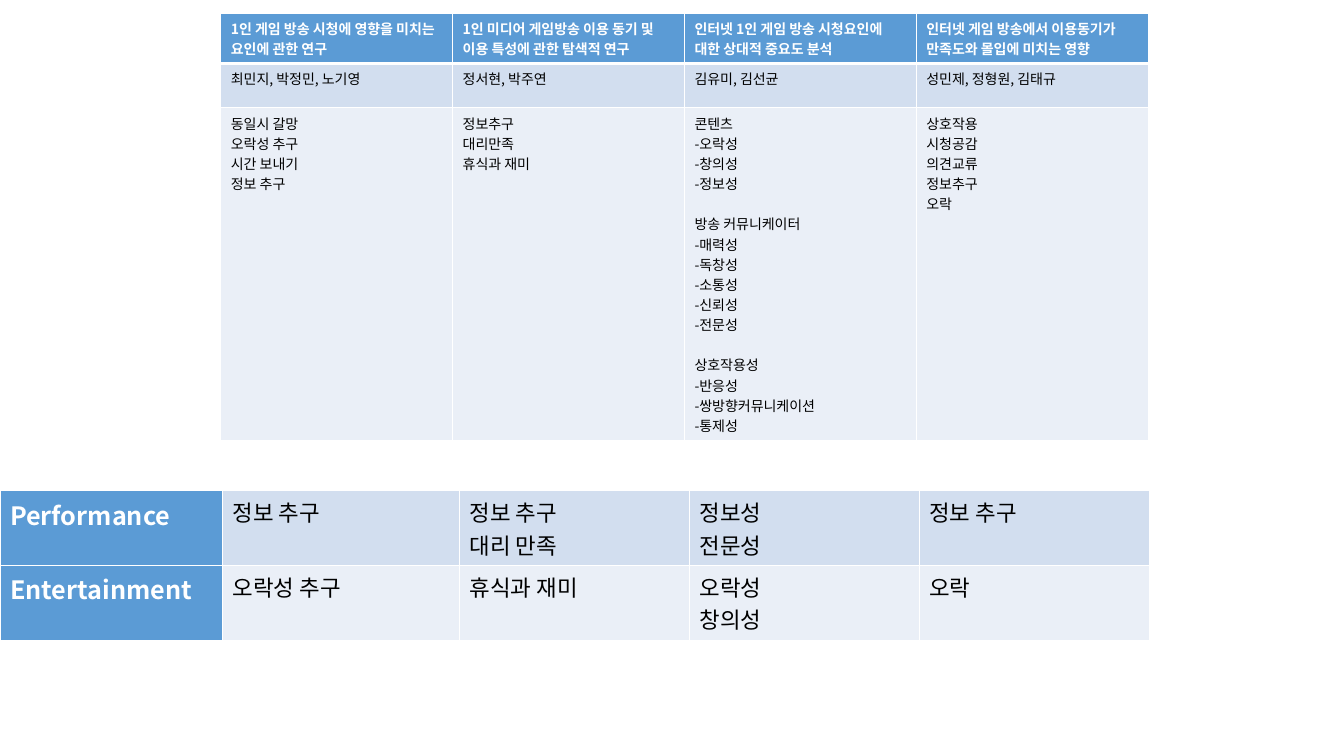
from dataclasses import dataclass

from lxml.etree import SubElement
from pptx import Presentation
from pptx.dml.color import RGBColor
from pptx.oxml.ns import qn
from pptx.slide import Slide
from pptx.util import Inches, Pt

WHITE = RGBColor(0xFF, 0xFF, 0xFF)
BLACK = RGBColor(0x00, 0x00, 0x00)
BLUE = RGBColor(0x5B, 0x9B, 0xD5)
LIGHT_BLUE = RGBColor(0xD2, 0xDE, 0xEF)
PALE_BLUE = RGBColor(0xEA, 0xEF, 0xF7)

WIDTH, HEIGHT = Inches(13.33), Inches(7.5)

STUDIES = [
    ["1인 게임 방송 시청에 영향을 미치는 요인에 관한 연구",
     "1인 미디어 게임방송 이용 동기 및 이용 특성에 관한 탐색적 연구",
     "인터넷 1인 게임 방송 시청요인에 대한 상대적 중요도 분석",
     "인터넷 게임 방송에서 이용동기가 만족도와 몰입에 미치는 영향"],
    ["최민지, 박정민, 노기영", "정서현, 박주연", "김유미, 김선균", "성민제, 정형원, 김태규"],
    ["동일시 갈망\n오락성 추구\n시간 보내기\n정보 추구",
     "정보추구\n대리만족\n휴식과 재미",
     "콘텐츠\n-오락성\n-창의성\n-정보성\n"
     "방송 커뮤니케이터\n-매력성\n-독창성\n-소통성\n-신뢰성\n-전문성\n"
     "상호작용성\n-반응성\n-쌍방향커뮤니케이션\n-통제성",
     "상호작용\n시청공감\n의견교류\n정보추구\n오락"],
]
GROUP_HEADINGS = {"방송 커뮤니케이터", "상호작용성"}
FACTORS = [
    ["Performance", "정보 추구", "정보 추구\n대리 만족", "정보성\n전문성", "정보 추구"],
    ["Entertainment", "오락성 추구", "휴식과 재미", "오락성\n창의성", "오락"],
]


@dataclass
class SlideBuilder:
    """Draws tables on a grid of 100 columns by 100 rows in one style."""
    slide: Slide
    font: str = "Noto Sans CJK KR"
    border: RGBColor = WHITE

    def column(self, count):
        return round(WIDTH * count / 100)

    def row(self, count):
        return round(HEIGHT * count / 100)

    def table(self, contents, left, top, widths, heights, flags):
        table = self.slide.shapes.add_table(
            len(heights), len(widths), self.column(left), self.row(top),
            self.column(sum(widths)), self.row(sum(heights))).table
        for flag, value in flags.items():
            setattr(table, flag, value)
        for table_column, width in zip(table.columns, widths):
            table_column.width = self.column(width)
        for table_row, height in zip(table.rows, heights):
            table_row.height = self.row(height)
        for r, entries in enumerate(contents):
            for c, entry in enumerate(entries):
                yield r, c, table.cell(r, c), entry

    def cell(self, cell, entry, fill, size, color, bold, bottom=1):
        self.borders(cell, {"L": 1, "R": 1, "T": 1, "B": bottom})
        cell.fill.solid()
        cell.fill.fore_color.rgb = fill
        cell.text = entry
        for paragraph in cell.text_frame.paragraphs:
            if paragraph.text in GROUP_HEADINGS:
                paragraph.space_before = Pt(14.4)
            for run in paragraph.runs:
                self.format(run, {"name": self.font, "size": Pt(size), "bold": bold}, color)

    def format(self, run, values, color):
        for attribute, value in values.items():
            setattr(run.font, attribute, value)
        run.font.color.rgb = color
        SubElement(run.font._element, qn("a:ea")).set("typeface", self.font)

    def borders(self, cell, widths):
        properties = cell._tc.get_or_add_tcPr()
        for side, width in widths.items():
            line = SubElement(properties, qn(f"a:ln{side}"), w=str(Pt(width)))
            SubElement(SubElement(line, qn("a:solidFill")), qn("a:srgbClr"), val=str(self.border))

    def studies(self):
        fills = [BLUE, LIGHT_BLUE, PALE_BLUE]
        for r, _, cell, entry in self.table(STUDIES, 16.43, 1.73, [17.25] * 4, [6.27, 5.87, 39.6],
                                            {"first_row": True}):
            heading = r == 0
            self.cell(cell, entry, fills[r], 10, WHITE if heading else BLACK, heading,
                      3 if heading else 1)

    def factors(self):
        fills = [LIGHT_BLUE, PALE_BLUE]
        for r, c, cell, entry in self.table(FACTORS, 0, 64.93, [16.58, 17.63] + [17.1] * 3, [5.47] * 2,
                                            {"first_row": False, "first_col": True}):
            if c == 0:
                self.cell(cell, entry, BLUE, 18, WHITE, True)
            else:
                self.cell(cell, entry, fills[r], 16, BLACK, False)


def main():
    presentation = Presentation()
    presentation.slide_width, presentation.slide_height = WIDTH, HEIGHT
    builder = SlideBuilder(presentation.slides.add_slide(presentation.slide_layouts[6]))
    builder.studies()
    builder.factors()
    presentation.save("out.pptx")


if __name__ == "__main__":
    main()
